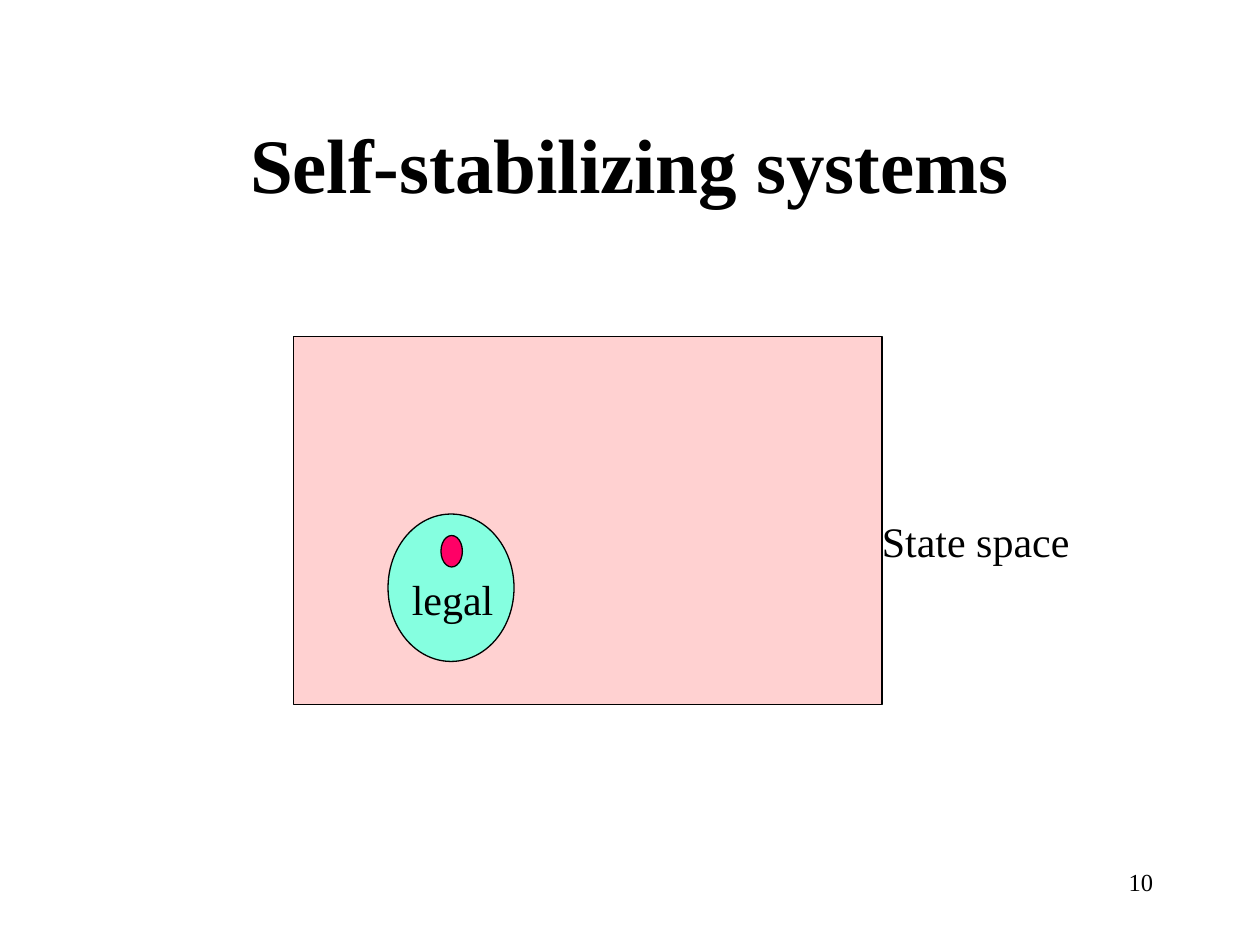
from lxml import etree
from pptx import Presentation, util as u
from pptx.dml.color import RGBColor
from pptx.enum import shapes, text
from pptx.oxml.ns import qn

THEME = {
    "font": "Times New Roman",
    "ink": "000000",
    "space": "FFCCCC",
    "legal": "85FFE0",
    "state": "FF0066",
    "title_size": 44,
    "label_size": 24,
    "number_size": 14,
    "line": 0.75,
}

TITLE = ("Self-stabilizing systems", (0.75, 0.67, 8.5, 1.25))
REGIONS = [
    ("RECTANGLE", "space", (2.33, 2.67, 4.67, 2.92), 89),
    ("OVAL", "legal", (3.08, 4.08, 1, 1.17), 100),
    ("OVAL", "state", (3.5, 4.25, 0.17, 0.25), 100),
]
LABELS = [
    ("10", (7.17, 6.83, 2.08, 0.5), "number_size", "RIGHT", True),
    ("State space", (6.9, 4.04, 1.69, 0.5), "label_size", "LEFT", False),
    ("legal", (3.17, 4.5, 1, 0.5), "label_size", "LEFT", True),
]


def color(role):
    return RGBColor.from_string(THEME[role])


def inches(box):
    return [u.Inches(length) for length in box]


def write(frame, words, size, align, bold=False):
    paragraph = frame.paragraphs[0]
    paragraph.alignment = getattr(text.PP_ALIGN, align)
    run = paragraph.add_run()
    run.text = words
    run.font.name = THEME["font"]
    run.font.size = u.Pt(THEME[size])
    run.font.bold = bold
    run.font.color.rgb = color("ink")


def add_region(slide, preset, role, box, opacity):
    region = slide.shapes.add_shape(
        getattr(shapes.MSO_SHAPE, preset), *inches(box))
    region.shadow.inherit = False
    region.fill.solid()
    region.fill.fore_color.rgb = color(role)
    region.line.color.rgb = color("ink")
    region.line.width = u.Pt(THEME["line"])
    if opacity < 100:
        fill = region.fill._xPr.find(qn("a:solidFill"))
        etree.SubElement(fill[0], qn("a:alpha"), val=str(opacity * 1000))


def add_label(slide, words, box, size, align, wrap):
    frame = slide.shapes.add_textbox(*inches(box)).text_frame
    frame.word_wrap = wrap
    write(frame, words, size, align)


def main():
    deck = Presentation()
    deck.slide_width, deck.slide_height = inches((10, 7.5))
    slide = deck.slides.add_slide(deck.slide_layouts.get_by_name("Title Only"))

    words, box = TITLE
    title = slide.shapes.title
    title.left, title.top, title.width, title.height = inches(box)
    title.text_frame.vertical_anchor = text.MSO_ANCHOR.MIDDLE
    write(title.text_frame, words, "title_size", "CENTER", bold=True)

    for region in REGIONS:
        add_region(slide, *region)
    for label in LABELS:
        add_label(slide, *label)
    deck.save("out.pptx")


if __name__ == "__main__":
    main()
